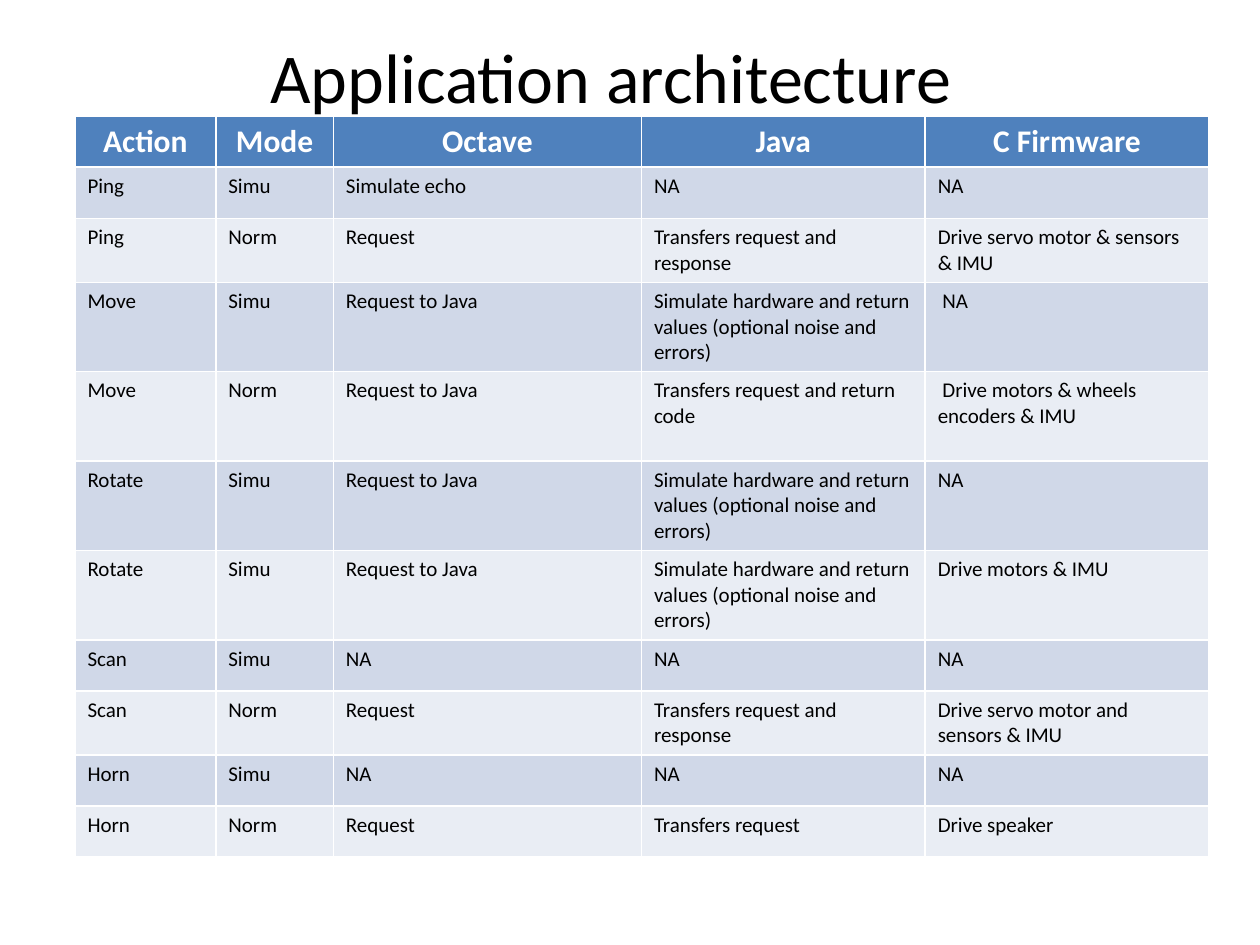
import pptx
import pptx.dml.color
import pptx.enum.text
import pptx.util
from dataclasses import dataclass

Cm = pptx.util.Cm
ALIGN = pptx.enum.text.PP_ALIGN


@dataclass(frozen=True)
class Theme:
    font: str = "Calibri"
    title_size: int = 40
    header_size: int = 18
    body_size: int = 12
    black: str = "000000"
    white: str = "FFFFFF"
    header_fill: str = "4F81BD"
    band_fills: tuple = ("E9EDF4", "D0D8E8")


theme = Theme()


def style_paragraph(para, size, color, bold=False, align=ALIGN.LEFT):
    para.alignment = align
    para.font.name = theme.font
    para.font.size = pptx.util.Pt(size)
    para.font.bold = bold
    para.font.color.rgb = pptx.dml.color.RGBColor.from_string(color)


SIMULATE = "Simulate hardware and return values (optional noise and errors)"
TRANSFER = "Transfers request and response"
ROWS = [
    ("Action", "Mode", "Octave", "Java", "C Firmware"),
    ("Ping", "Simu", "Simulate echo", "NA", "NA"),
    ("Ping", "Norm", "Request", TRANSFER, "Drive servo motor & sensors & IMU"),
    ("Move", "Simu", "Request to Java", SIMULATE, " NA"),
    ("Move", "Norm", "Request to Java", "Transfers request and return code",
     " Drive motors & wheels encoders & IMU"),
    ("Rotate", "Simu", "Request to Java", SIMULATE, "NA"),
    ("Rotate", "Simu", "Request to Java", SIMULATE, "Drive motors & IMU"),
    ("Scan", "Simu", "NA", "NA", "NA"),
    ("Scan", "Norm", "Request", TRANSFER, "Drive servo motor and sensors & IMU"),
    ("Horn", "Simu", "NA", "NA", "NA"),
    ("Horn", "Norm", "Request", "Transfers request", "Drive speaker"),
]
COLUMN_WIDTHS = [2.84, 2.37, 6.21, 5.72, 5.72]
ONE_LINE, TWO_LINES, THREE_LINES = 1.03, 1.29, 1.8
ROW_HEIGHTS = [1.02, ONE_LINE, TWO_LINES, *[THREE_LINES] * 4,
               ONE_LINE, TWO_LINES, ONE_LINE, ONE_LINE]

deck = pptx.Presentation()
deck.slide_width, deck.slide_height = Cm(25.4), Cm(19.05)
page = deck.slides.add_slide(deck.slide_layouts.get_by_name("Title Only"))

title = page.shapes.title
title.left, title.top, title.width, title.height = Cm(1.3), Cm(0.33), Cm(22.02), Cm(2.39)
title.text_frame.text = "Application architecture"
title.text_frame.vertical_anchor = pptx.enum.text.MSO_ANCHOR.MIDDLE
style_paragraph(title.text_frame.paragraphs[0], theme.title_size, theme.black,
                align=ALIGN.CENTER)

table = page.shapes.add_table(
    len(ROWS), len(COLUMN_WIDTHS), Cm(1.51), Cm(2.34),
    Cm(sum(COLUMN_WIDTHS)), Cm(sum(ROW_HEIGHTS))).table
for column, width in zip(table.columns, COLUMN_WIDTHS):
    column.width = Cm(width)
for row, height in zip(table.rows, ROW_HEIGHTS):
    row.height = Cm(height)

for row_index, texts in enumerate(ROWS):
    is_header = row_index == 0
    fill = theme.header_fill if is_header else theme.band_fills[row_index % 2]
    for column_index, text in enumerate(texts):
        cell = table.cell(row_index, column_index)
        cell.text = text
        cell.fill.solid()
        cell.fill.fore_color.rgb = pptx.dml.color.RGBColor.from_string(fill)
        para = cell.text_frame.paragraphs[0]
        if is_header:
            style_paragraph(para, theme.header_size, theme.white, True, ALIGN.CENTER)
        else:
            style_paragraph(para, theme.body_size, theme.black)

deck.save("out.pptx")
